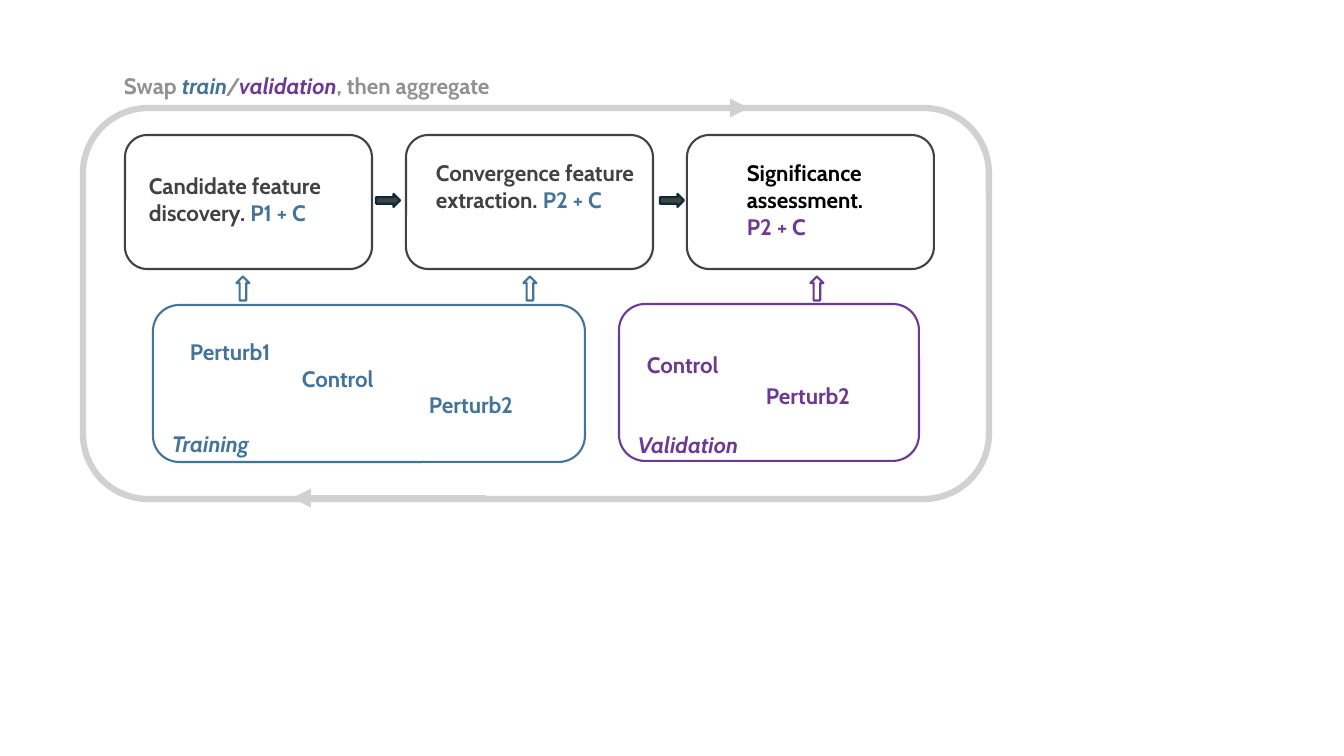
from lxml.etree import SubElement
from pptx import Presentation
from pptx.dml.color import RGBColor
from pptx.enum.shapes import MSO_CONNECTOR, MSO_SHAPE
from pptx.enum.text import MSO_AUTO_SIZE
from pptx.oxml.ns import qn
from pptx.util import Emu, Pt

COLORS = {
    "train": "457499",
    "validation": "6D3991",
    "loop": "D1D1D1",
    "caption": "919191",
    "step": "424242",
    "arrow": "092A39",
    "black": "000000",
}
EMU_PER_PX = 914400 / 100.8


def px(length):
    return Emu(round(length * EMU_PER_PX))


def color(name):
    return RGBColor.from_string(COLORS[name])


class Diagram:
    font_format = {"name": "Cabin", "size": Pt(16), "bold": True}

    def __init__(self, slide):
        self.slide = slide

    def shape(self, kind, box, line, width=1.5, fill=None, rotation=0):
        shape = self.slide.shapes.add_shape(kind, *map(px, box))
        shape.shadow.inherit = False
        shape.rotation = rotation
        if fill:
            shape.fill.solid()
            shape.fill.fore_color.rgb = color(fill)
        else:
            shape.fill.background()
        shape.line.color.rgb = color(line)
        shape.line.width = Pt(width)

    def rounded(self, box, line, width=1.5):
        self.shape(MSO_SHAPE.ROUNDED_RECTANGLE, box, line, width)

    def block_arrow(self, left, top, line, fill=None, rotation=0):
        self.shape(MSO_SHAPE.RIGHT_ARROW, (left, top, 24, 13), line, fill=fill, rotation=rotation)

    def loop_arrow(self, start, end, y):
        connector = self.slide.shapes.add_connector(
            MSO_CONNECTOR.STRAIGHT, px(start), px(y), px(end), px(y))
        connector.line.color.rgb = color("loop")
        connector.line.width = Pt(4.5)
        properties = connector.element.spPr
        SubElement(properties.get_or_add_ln(), qn("a:tailEnd"), type="triangle")
        SubElement(properties, qn("a:effectLst"))

    def text(self, box, paragraphs, wrap=False):
        """Each paragraph is a list of (text, color name, italic) runs."""
        frame = self.slide.shapes.add_textbox(*map(px, box)).text_frame
        frame.word_wrap = wrap
        frame.auto_size = MSO_AUTO_SIZE.SHAPE_TO_FIT_TEXT
        for index, runs in enumerate(paragraphs):
            paragraph = frame.add_paragraph() if index else frame.paragraphs[0]
            for words, color_name, italic in runs:
                run = paragraph.add_run()
                run.text = words
                for attribute, value in {**self.font_format, "italic": italic}.items():
                    setattr(run.font, attribute, value)
                run.font.color.rgb = color(color_name)

    def label(self, left, top, width, words, color_name, italic=False):
        self.text((left, top, width, 37), [[(words, color_name, italic)]])


def main():
    presentation = Presentation()
    presentation.slide_width, presentation.slide_height = px(1344), px(756)
    diagram = Diagram(presentation.slides.add_slide(presentation.slide_layouts[6]))

    diagram.rounded((153, 305, 432, 157), "train")
    diagram.rounded((619, 304, 300, 157), "validation")
    diagram.rounded((83, 108, 906, 391), "loop", 4.5)
    diagram.loop_arrow(651, 749, 108)
    diagram.loop_arrow(486, 292, 498)

    diagram.text((114, 67, 620, 37), [[
        ("Swap ", "caption", False),
        ("train", "train", True),
        ("/", "caption", True),
        ("validation", "validation", True),
        (", then aggregate", "caption", False),
    ]], wrap=True)

    diagram.text((139, 167, 206, 65), [
        [("Candidate feature", "step", False)],
        [("discovery. ", "step", False), ("P1 + C", "train", False)],
    ])
    diagram.text((426, 154, 229, 92), [[
        ("Convergence feature extraction. ", "step", False),
        ("P2 + C", "train", False),
    ]], wrap=True)
    diagram.text((737, 154, 204, 92), [
        [("Significance assessment.", "black", False)],
        [("P2 + C", "validation", False)],
    ], wrap=True)

    for index, data_set in enumerate(("train", "train", "validation")):
        diagram.rounded((125 + 281 * index, 135, 247, 134), "step")
        diagram.block_arrow(231 + 287 * index, 282, data_set, rotation=270)
    for left in (376, 660):
        diagram.block_arrow(left, 194, "arrow", fill="step")

    for left, top, width, words, data_set in (
        (180, 333, 109, "Perturb1", "train"),
        (292, 360, 98, "Control", "train"),
        (419, 386, 109, "Perturb2", "train"),
        (637, 346, 98, "Control", "validation"),
        (756, 377, 109, "Perturb2", "validation"),
    ):
        diagram.label(left, top, width, words, data_set)
    diagram.label(162, 425, 101, "Training", "train", italic=True)
    diagram.label(628, 426, 124, "Validation", "validation", italic=True)

    presentation.save("out.pptx")


if __name__ == "__main__":
    main()
